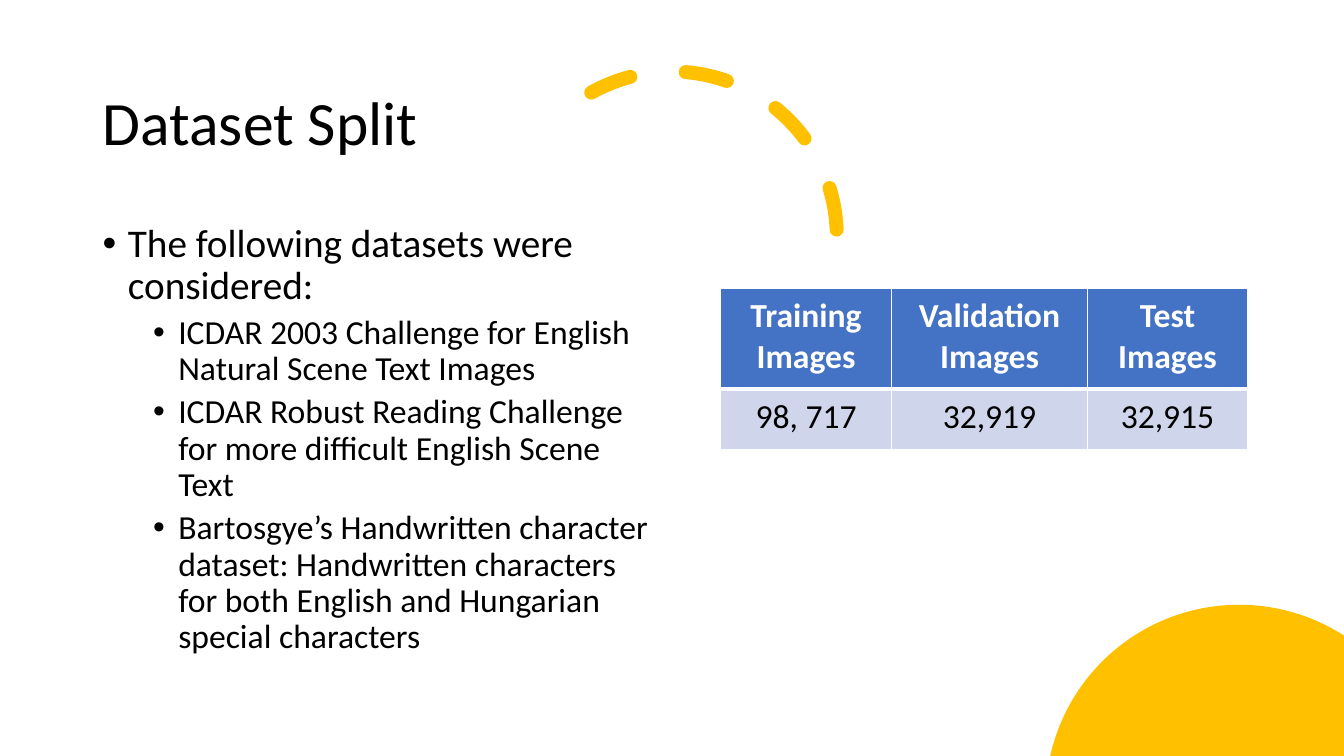
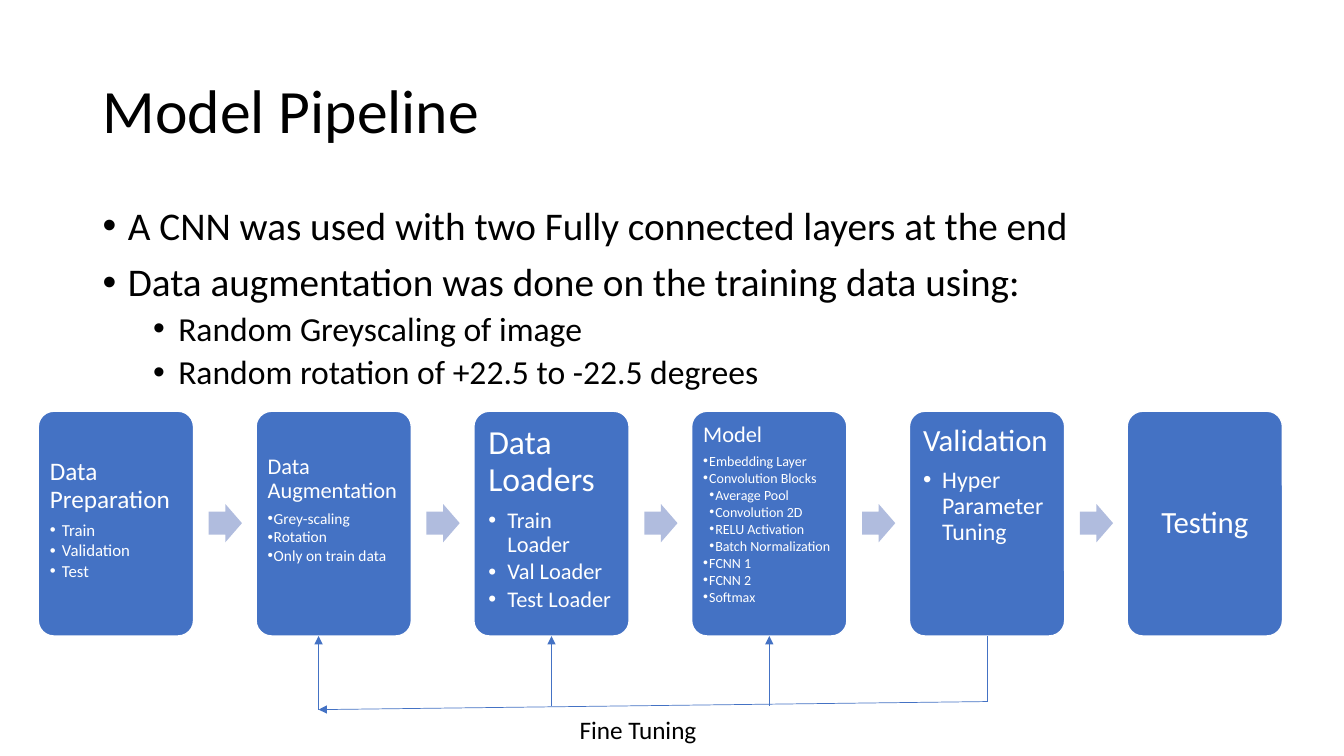
import math
from pptx import Presentation
from pptx import util as u
from pptx.dml.color import RGBColor
from pptx.enum import dml, shapes, text
from pptx.oxml import parse_xml
from pptx.oxml.ns import nsdecls, qn
from lxml import etree

FONT = "Calibri"
COLORS = {"black": "000000", "white": "FFFFFF", "gold": "FFC000", "blue": "4472C4",
          "arrow": "B0BCDE", "table_row": "CFD5EA"}
COLORS = {name: RGBColor.from_string(value) for name, value in COLORS.items()}
WIDTH, HEIGHT = 13.33, 7.5


def write(frame, content, size, color="black", level=0, margin=0, hanging=0,
          before=0, after=0, line_spacing=0.9):
    """Append one formatted paragraph; a hanging indent gives it a bullet."""
    paragraph = frame.paragraphs[0]
    if paragraph.text:
        paragraph = frame.add_paragraph()
    paragraph.text = content
    paragraph.level = level
    paragraph.line_spacing = line_spacing
    paragraph.space_before, paragraph.space_after = u.Pt(before), u.Pt(after)
    paragraph.alignment = text.PP_ALIGN.LEFT
    font = paragraph.runs[0].font
    font.name, font.size, font.bold = FONT, u.Pt(size), False
    font.color.rgb = COLORS[color]
    if hanging:
        properties = paragraph._p.get_or_add_pPr()
        properties.set("marL", str(u.Inches(margin)))
        properties.set("indent", str(-u.Inches(hanging)))
        etree.SubElement(properties, qn("a:buFont")).set("typeface", "Arial")
        etree.SubElement(properties, qn("a:buChar")).set("char", "•")
    return paragraph


def add_content(slide, title, title_box, body_box, body):
    """Add the title and the bulleted body, given as (level, text) pairs."""
    title_frame = slide.shapes.add_textbox(*map(u.Inches, title_box)).text_frame
    title_frame.word_wrap = True
    title_frame.vertical_anchor = text.MSO_ANCHOR.MIDDLE
    write(title_frame, title, 44)
    body_frame = slide.shapes.add_textbox(*map(u.Inches, body_box)).text_frame
    body_frame.word_wrap = True
    for level, content in body:
        write(body_frame, content, 28 - 4 * level, level=level, margin=0.25 + 0.5 * level,
              hanging=0.25, before=10 - 5 * level)


presentation = Presentation()
presentation.slide_width, presentation.slide_height = u.Inches(WIDTH), u.Inches(HEIGHT)
blank = presentation.slide_layouts[6]

# Dataset split
slide = presentation.slides.add_slide(blank)

center_x, center_y, radius = 12.29, 7.92, 1.92
start = math.pi - math.asin((center_y - HEIGHT) / radius)
end = math.acos((WIDTH - center_x) / radius)
steps = 80
angles = [start + (end - start) * step / steps for step in range(steps + 1)]
rim = [(u.Inches(center_x + radius * math.cos(angle)), u.Inches(center_y - radius * math.sin(angle)))
       for angle in angles]
builder = slide.shapes.build_freeform(*rim[0])
builder.add_line_segments(rim[1:] + [(u.Inches(WIDTH), u.Inches(HEIGHT))], close=True)
corner = builder.convert_to_shape()
corner.shadow.inherit = False
corner.fill.solid()
corner.fill.fore_color.rgb = COLORS["gold"]
corner.line.fill.background()

arc = slide.shapes.add_shape(shapes.MSO_SHAPE.ARC, u.Inches(5.03), u.Inches(0.71),
                             u.Inches(3.27), u.Inches(3.27))
arc.adjustments[0], arc.adjustments[1] = 144.42, 0
arc.shadow.inherit = False
arc.fill.background()
arc.line.color.rgb = COLORS["gold"]
arc.line.width = u.Pt(10)
arc.line.dash_style = dml.MSO_LINE.DASH
arc.line._get_or_add_ln().set("cap", "rnd")

add_content(slide, "Dataset Split", (0.92, 0.52, 5.75, 1.45), (0.92, 2.17, 5.75, 4.58), [
    (0, "The following datasets were considered:"),
    (1, "ICDAR 2003 Challenge for English Natural Scene Text Images"),
    (1, "ICDAR Robust Reading Challenge for more difficult English Scene Text"),
    (1, "Bartosgye’s Handwritten character dataset: Handwritten characters for both "
        "English and Hungarian special characters"),
])

rows = [["Training Images", "Validation Images", "Test Images"], ["98, 717", "32,919", "32,915"]]
table = slide.shapes.add_table(2, 3, u.Inches(7.15), u.Inches(2.86),
                               u.Inches(5.22), u.Inches(1.6)).table
for column, width in zip(table.columns, (1.69, 1.95, 1.58)):
    column.width = u.Inches(width)
for row, height in zip(table.rows, (1, 0.6)):
    row.height = u.Inches(height)
for row_index, values in enumerate(rows):
    header = row_index == 0
    borders = {"lnL": 1, "lnR": 1, "lnT": 1 if header else 3, "lnB": 3 if header else 1}
    for column_index, value in enumerate(values):
        cell = table.cell(row_index, column_index)
        cell.margin_left = cell.margin_right = u.Inches(0.14)
        cell.margin_top = cell.margin_bottom = u.Inches(0.07)
        paragraph = write(cell.text_frame, value, 24, "white" if header else "black", line_spacing=1)
        paragraph.alignment = text.PP_ALIGN.CENTER
        paragraph.runs[0].font.bold = header
        cell.fill.solid()
        cell.fill.fore_color.rgb = COLORS["blue" if header else "table_row"]
        properties = cell._tc.get_or_add_tcPr()
        for position, (side, points) in enumerate(borders.items()):
            properties.insert(position, parse_xml(
                f'<a:{side} {nsdecls("a")} w="{u.Pt(points)}"><a:solidFill>'
                f'<a:srgbClr val="{COLORS["white"]}"/></a:solidFill></a:{side}>'))

# Model pipeline
slide = presentation.slides.add_slide(blank)
add_content(slide, "Model Pipeline", (0.92, 0.4, 11.5, 1.45), (0.92, 2, 11.5, 4.76), [
    (0, "A CNN was used with two Fully connected layers at the end"),
    (0, "Data augmentation was done on the training data using:"),
    (1, "Random Greyscaling of image"),
    (1, "Random rotation of +22.5 to -22.5 degrees"),
])

# heading, heading size, item size, hanging indent, inset, extra top inset, (level, item) pairs
stages = [
    ("Data Preparation", 18, 12, 0.12, 0.07, 0.36, [(1, "Train"), (1, "Validation"), (1, "Test")]),
    ("Data Augmentation", 16, 11, 0.06, 0.07, 0.32,
     [(1, "Grey-scaling"), (1, "Rotation"), (1, "Only on train data")]),
    ("Data Loaders", 24, 16, 0.19, 0.1, 0,
     [(1, "Train Loader"), (1, "Val Loader"), (1, "Test Loader")]),
    ("Model", 16, 10, 0.06, 0.07, 0,
     [(1, "Embedding Layer"), (1, "Convolution Blocks"), (2, "Average Pool"),
      (2, "Convolution 2D"), (2, "RELU Activation"), (2, "Batch Normalization"),
      (1, "FCNN 1"), (1, "FCNN 2"), (1, "Softmax")]),
    ("Validation", 22, 17, 0.19, 0.09, 0, [(1, "Hyper Parameter Tuning")]),
    ("Testing", 22, 17, 0.19, 0.09, 0, []),
]
left, top, box_width, box_height, pitch = 0.38, 4.08, 1.54, 2.23, 2.16
bottom = top + box_height
boxes = []
for index, (heading, heading_size, item_size, hanging, inset, extra, items) in enumerate(stages):
    x = left + index * pitch
    box = slide.shapes.add_shape(shapes.MSO_SHAPE.ROUNDED_RECTANGLE, u.Inches(x), u.Inches(top),
                                 u.Inches(box_width), u.Inches(box_height))
    box.adjustments[0] = 0.1
    box.shadow.inherit = False
    box.fill.solid()
    box.fill.fore_color.rgb = COLORS["blue"]
    box.line.color.rgb = COLORS["white"]
    box.line.width = u.Pt(1)
    frame = box.text_frame
    frame.word_wrap = True
    frame.margin_left = frame.margin_right = frame.margin_bottom = u.Inches(inset)
    frame.margin_top = u.Inches(inset + extra)
    frame.vertical_anchor = text.MSO_ANCHOR.TOP if items else text.MSO_ANCHOR.MIDDLE
    paragraph = write(frame, heading, heading_size, "white", after=heading_size * 0.33)
    if not items:
        paragraph.alignment = text.PP_ALIGN.CENTER
    for level, item in items:
        write(frame, item, item_size, "white", level, hanging * level, hanging,
              after=item_size * 0.13)
    boxes.append(box)
    if index < len(stages) - 1:
        arrow = slide.shapes.add_shape(shapes.MSO_SHAPE.RIGHT_ARROW, u.Inches(x + 1.69),
                                       u.Inches(5), u.Inches(0.33), u.Inches(0.38))
        arrow.adjustments[0], arrow.adjustments[1] = 0.6, 0.5
        arrow.shadow.inherit = False
        arrow.fill.solid()
        arrow.fill.fore_color.rgb = COLORS["arrow"]
        arrow.line.fill.background()

augmentation_x = 3.16
loaders_x, model_x, validation_x = [left + index * pitch + box_width / 2 for index in (2, 3, 4)]
# from, to, box joined at the start, box joined at the end, arrowhead
feedback_lines = [
    ((validation_x, bottom), (validation_x, 6.96), boxes[4], None, False),
    ((validation_x, 6.96), (augmentation_x, 7.04), None, None, True),
    ((augmentation_x, 7.04), (augmentation_x, bottom), None, None, True),
    ((loaders_x, 7), (loaders_x, bottom), None, boxes[2], True),
    ((model_x, 7), (model_x, bottom), None, boxes[3], True),
]
for begin, finish, begin_box, end_box, has_head in feedback_lines:
    connector = slide.shapes.add_connector(shapes.MSO_CONNECTOR.STRAIGHT,
                                           *map(u.Inches, begin + finish))
    if begin_box:
        connector.begin_connect(begin_box, 2)
    if end_box:
        connector.end_connect(end_box, 2)
    connector.line.color.rgb = COLORS["blue"]
    connector.line.width = u.Pt(0.5)
    if has_head:
        etree.SubElement(connector.line._get_or_add_ln(), qn("a:tailEnd")).set("type", "triangle")
    etree.SubElement(connector._element.spPr, qn("a:effectLst"))

label = slide.shapes.add_textbox(u.Inches(5.65), u.Inches(7.04), u.Inches(1.38), u.Inches(0.4))
label.text_frame.word_wrap = False
label.text_frame.auto_size = text.MSO_AUTO_SIZE.SHAPE_TO_FIT_TEXT
write(label.text_frame, "Fine Tuning", 18, line_spacing=1)

presentation.save("out.pptx")
